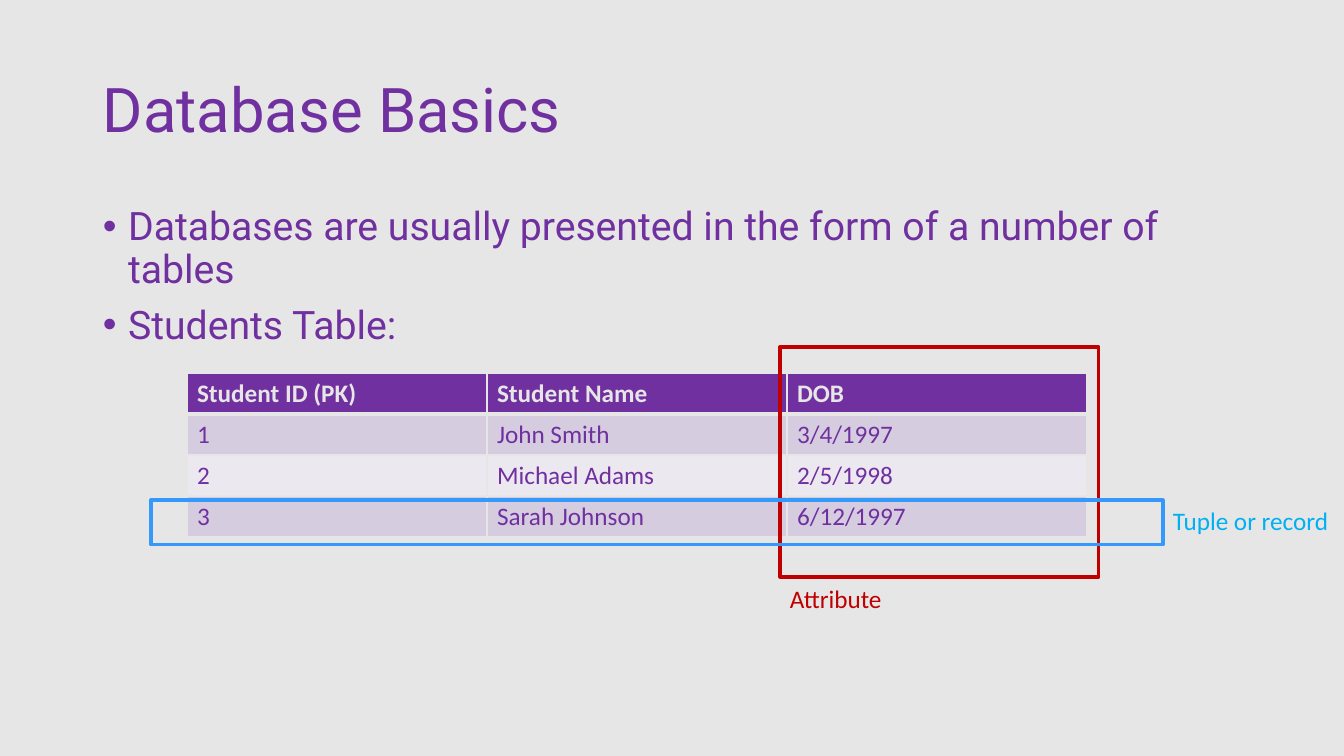
import pptx
import pptx.dml.color
import pptx.enum.shapes
import pptx.enum.text
import pptx.oxml
import pptx.oxml.ns
import pptx.util
import lxml.etree

SCALE = 914400 / 100.8
PURPLE, GREY, RED, BLUE, CYAN = "7030A0", "E7E6E6", "C00000", "3598FB", "00B0F0"
BANDS = ["D5CDDF", "EBE8F0"]
STUDENTS = [
    ["Student ID (PK)", "Student Name", "DOB"],
    ["1", "John Smith", "3/4/1997"],
    ["2", "Michael Adams", "2/5/1998"],
    ["3", "Sarah Johnson", "6/12/1997"],
]


def px(n):
    """Turn pixels into EMU."""
    return pptx.util.Emu(round(n * SCALE))


def rgb(color):
    """Turn a hex string into a colour."""
    return pptx.dml.color.RGBColor.from_string(color)


def add_run(p, text, size, font, color, bold=False):
    """Add one formatted run to a paragraph."""
    r = p.add_run()
    r.text = text
    r.font.size = pptx.util.Pt(size)
    r.font.name = font
    r.font.bold = bold
    r.font.color.rgb = rgb(color)


def add_text(s, box, wrap=True):
    """Add an empty text box and return its text frame."""
    tf = s.shapes.add_textbox(*map(px, box)).text_frame
    tf.word_wrap = wrap
    return tf


def add_title(s, box, text):
    """Add the title, centred vertically in its box."""
    tf = add_text(s, box)
    tf.vertical_anchor = pptx.enum.text.MSO_ANCHOR.MIDDLE
    p = tf.paragraphs[0]
    p.line_spacing = 0.9
    add_run(p, text, 44, "Roboto", PURPLE)


def add_bullets(s, box, lines):
    """Add the bulleted body text."""
    tf = add_text(s, box)
    for i, line in enumerate(lines):
        p = tf.add_paragraph() if i else tf.paragraphs[0]
        p.line_spacing = 0.9
        p.space_before = pptx.util.Pt(10)
        pPr = p._p.get_or_add_pPr()
        indent = pptx.util.Inches(0.25)
        pPr.set("marL", str(indent))
        pPr.set("indent", str(-indent))
        for tag, key, value in (("a:buFont", "typeface", "Arial"), ("a:buChar", "char", "•")):
            lxml.etree.SubElement(pPr, pptx.oxml.ns.qn(tag)).set(key, value)
        add_run(p, line, 28, "Roboto", PURPLE)


def set_borders(cell, color, widths):
    """Draw the cell borders, with widths in points by side."""
    tcPr = cell._tc.get_or_add_tcPr()
    for side, width in widths.items():
        tcPr.append(pptx.oxml.parse_xml(
            f'<a:ln{side} {pptx.oxml.ns.nsdecls("a")} w="{pptx.util.Pt(width)}">'
            f'<a:solidFill><a:srgbClr val="{color}"/></a:solidFill></a:ln{side}>'))


def add_students(s, box, rows):
    """Add the banded table with its header row."""
    table = s.shapes.add_table(len(rows), len(rows[0]), *map(px, box)).table
    for i, row in enumerate(rows):
        header = i == 0
        for j, text in enumerate(row):
            cell = table.cell(i, j)
            set_borders(cell, GREY, {"L": 1, "R": 1, "T": 3 if i == 1 else 1, "B": 3 if header else 1})
            cell.fill.solid()
            cell.fill.fore_color.rgb = rgb(PURPLE if header else BANDS[(i - 1) % 2])
            add_run(cell.text_frame.paragraphs[0], text, 18, "Calibri",
                    GREY if header else PURPLE, header)


def add_frame(s, box, color):
    """Add an unfilled rectangle that marks part of the table."""
    sp = s.shapes.add_shape(pptx.enum.shapes.MSO_SHAPE.RECTANGLE, *map(px, box))
    sp.shadow.inherit = False
    sp.fill.background()
    sp.line.color.rgb = rgb(color)
    sp.line.width = pptx.util.Pt(2.25)


def add_label(s, box, text, color):
    """Add the name of a marked part."""
    add_run(add_text(s, box).paragraphs[0], text, 18, "Calibri", color)


def build_slide(prs):
    """Build the database basics slide."""
    s = prs.slides.add_slide(prs.slide_layouts[6])
    s.background.fill.solid()
    s.background.fill.fore_color.rgb = rgb(GREY)
    add_title(s, (93, 40, 1159, 146), "Database Basics")
    add_bullets(s, (93, 202, 1159, 480), [
        "Databases are usually presented in the form of a number of tables",
        "Students Table:",
    ])
    add_students(s, (187, 373, 900, 164), STUDENTS)
    add_frame(s, (780, 347, 319, 230), RED)
    add_label(s, (1163, 500, 302, 40), "Tuple or record", CYAN)
    add_label(s, (780, 578, 302, 40), "Attribute", RED)
    add_frame(s, (151, 500, 1012, 45), BLUE)


prs = pptx.Presentation()
prs.slide_width, prs.slide_height = px(1344), px(756)
build_slide(prs)
prs.save("out.pptx")
